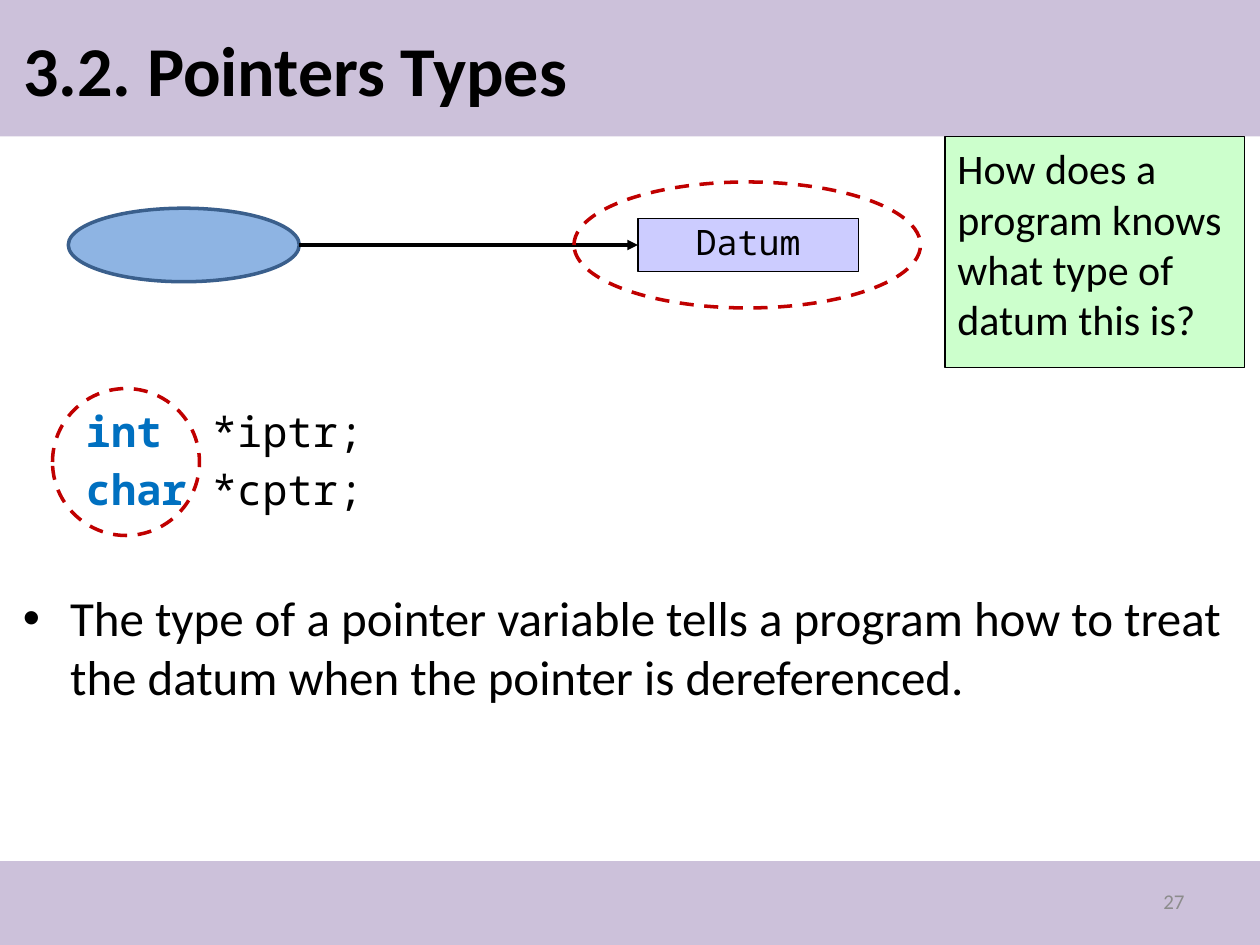
from lxml.etree import SubElement
from pptx import Presentation
from pptx.dml.color import RGBColor
from pptx.enum.dml import MSO_LINE
from pptx.enum.shapes import MSO_CONNECTOR, MSO_SHAPE
from pptx.enum.text import MSO_ANCHOR, PP_ALIGN
from pptx.oxml.ns import qn
from pptx.util import Pt

WIDTH, HEIGHT = 720, 540
SANS, MONO = "Calibri", "Noto Sans Mono"
BLACK, BAND, RED, KEYWORD = "000000", "CCC1DA", "C00000", "0070C0"

TITLE = "3.2. Pointers Types"
QUESTION = "How does a program knows what type of datum this is?"
DECLARATIONS = [("int  ", "*iptr;"), ("char", " *cptr;")]
EXPLANATION = ("The type of a pointer variable tells a program how to treat "
               "the datum when the pointer is dereferenced.")
SLIDE_NUMBER = "27"

BANDS = [(0, 0, WIDTH, 78), (0, 492, WIDTH, 48)]
POINTER = (39, 119, 132, 42)
DATUM = (364.5, 125, 126, 30)
DATUM_RING = (328, 104, 198, 72)
TYPE_RING = (30, 222, 84, 84)
QUESTION_BOX = (540, 78, 171, 132)


def color(value):
    return RGBColor.from_string(value)


def lengths(box):
    return [Pt(value) for value in box]


def format_font(font, size, name=SANS, fill=BLACK, bold=False):
    for key, value in {"size": Pt(size), "name": name, "bold": bold}.items():
        setattr(font, key, value)
    font.color.rgb = color(fill)


def format_paragraph(paragraph, **values):
    for key, value in values.items():
        setattr(paragraph, key, value)


def add_run(paragraph, text, size, **font):
    run = paragraph.add_run()
    run.text = text
    format_font(run.font, size, **font)


def add_figure(slide, kind, box, fill=None, line=None, width=2, dash=None):
    shape = slide.shapes.add_shape(kind, *lengths(box))
    shape.shadow.inherit = False
    if fill:
        shape.fill.solid()
        shape.fill.fore_color.rgb = color(fill)
    else:
        shape.fill.background()
    if line:
        shape.line.color.rgb = color(line)
        shape.line.width = Pt(width)
        shape.line.dash_style = dash
    else:
        shape.line.fill.background()
    return shape


def add_text_box(slide, box):
    frame = slide.shapes.add_textbox(*lengths(box)).text_frame
    frame.word_wrap = True
    return frame


def set_bullet(paragraph, indent):
    properties = paragraph._p.get_or_add_pPr()
    properties.set("marL", str(Pt(indent)))
    properties.set("indent", str(-Pt(indent)))
    SubElement(properties, qn("a:buFont"), typeface="Arial")
    SubElement(properties, qn("a:buChar"), char="•")


def add_arrow(slide, start, end):
    arrow = slide.shapes.add_connector(MSO_CONNECTOR.STRAIGHT, *lengths(start + end))
    arrow.line.color.rgb = color(BLACK)
    arrow.line.width = Pt(2)
    SubElement(arrow.line._get_or_add_ln(), qn("a:tailEnd"), type="triangle")
    SubElement(arrow._element.spPr, qn("a:effectLst"))


def add_title(slide):
    title = slide.shapes.title
    title.left, title.top, title.width, title.height = lengths((6, 6, 708, 66))
    title.text_frame.vertical_anchor = MSO_ANCHOR.MIDDLE
    paragraph = title.text_frame.paragraphs[0]
    paragraph.alignment = PP_ALIGN.LEFT
    add_run(paragraph, TITLE, 40, bold=True)


def add_body(slide):
    frame = add_text_box(slide, (6, 228, 703, 258))
    for index, (keyword, variable) in enumerate(DECLARATIONS):
        paragraph = frame.add_paragraph() if index else frame.paragraphs[0]
        paragraph._p.get_or_add_pPr().set("marL", str(Pt(36)))
        if index:
            paragraph.space_before = Pt(4.8)
        add_run(paragraph, keyword, 24, name=MONO, fill=KEYWORD, bold=True)
        add_run(paragraph, variable, 24, name=MONO)
    paragraph = frame.add_paragraph()
    paragraph.space_before = Pt(42)
    set_bullet(paragraph, 27)
    add_run(paragraph, EXPLANATION, 28)


def add_diagram(slide):
    add_figure(slide, MSO_SHAPE.OVAL, POINTER, "8EB4E3", "3A5F8C")
    left, top, width, height = POINTER
    middle = top + height / 2
    add_arrow(slide, (left + width, middle), (DATUM[0], middle))

    datum = add_figure(slide, MSO_SHAPE.RECTANGLE, DATUM, "CCCCFF", BLACK, 0.75)
    datum.text_frame.vertical_anchor = MSO_ANCHOR.MIDDLE
    paragraph = datum.text_frame.paragraphs[0]
    format_paragraph(paragraph, alignment=PP_ALIGN.CENTER, line_spacing=0.8)
    add_run(paragraph, "Datum", 20, name=MONO)

    question = add_figure(slide, MSO_SHAPE.RECTANGLE, QUESTION_BOX, "CCFFCC", BLACK, 0.75)
    question.text_frame.vertical_anchor = MSO_ANCHOR.TOP
    paragraph = question.text_frame.paragraphs[0]
    paragraph.alignment = PP_ALIGN.LEFT
    add_run(paragraph, QUESTION, 24)

    for ring in (DATUM_RING, TYPE_RING):
        add_figure(slide, MSO_SHAPE.OVAL, ring, line=RED, dash=MSO_LINE.DASH)


def add_slide_number(slide):
    frame = add_text_box(slide, (516, 500.5, 168, 28.8))
    frame.vertical_anchor = MSO_ANCHOR.MIDDLE
    paragraph = frame.paragraphs[0]
    paragraph.alignment = PP_ALIGN.RIGHT
    add_run(paragraph, SLIDE_NUMBER, 12, fill="8C8C8C")


def main():
    presentation = Presentation()
    presentation.slide_width, presentation.slide_height = Pt(WIDTH), Pt(HEIGHT)
    slide = presentation.slides.add_slide(presentation.slide_layouts[5])
    for band in BANDS:
        shape = add_figure(slide, MSO_SHAPE.RECTANGLE, band, BAND)
        slide.shapes._spTree.remove(shape._element)
        slide.shapes._spTree.insert(2 + BANDS.index(band), shape._element)
    add_title(slide)
    add_body(slide)
    add_slide_number(slide)
    add_diagram(slide)
    presentation.save("out.pptx")


if __name__ == "__main__":
    main()
